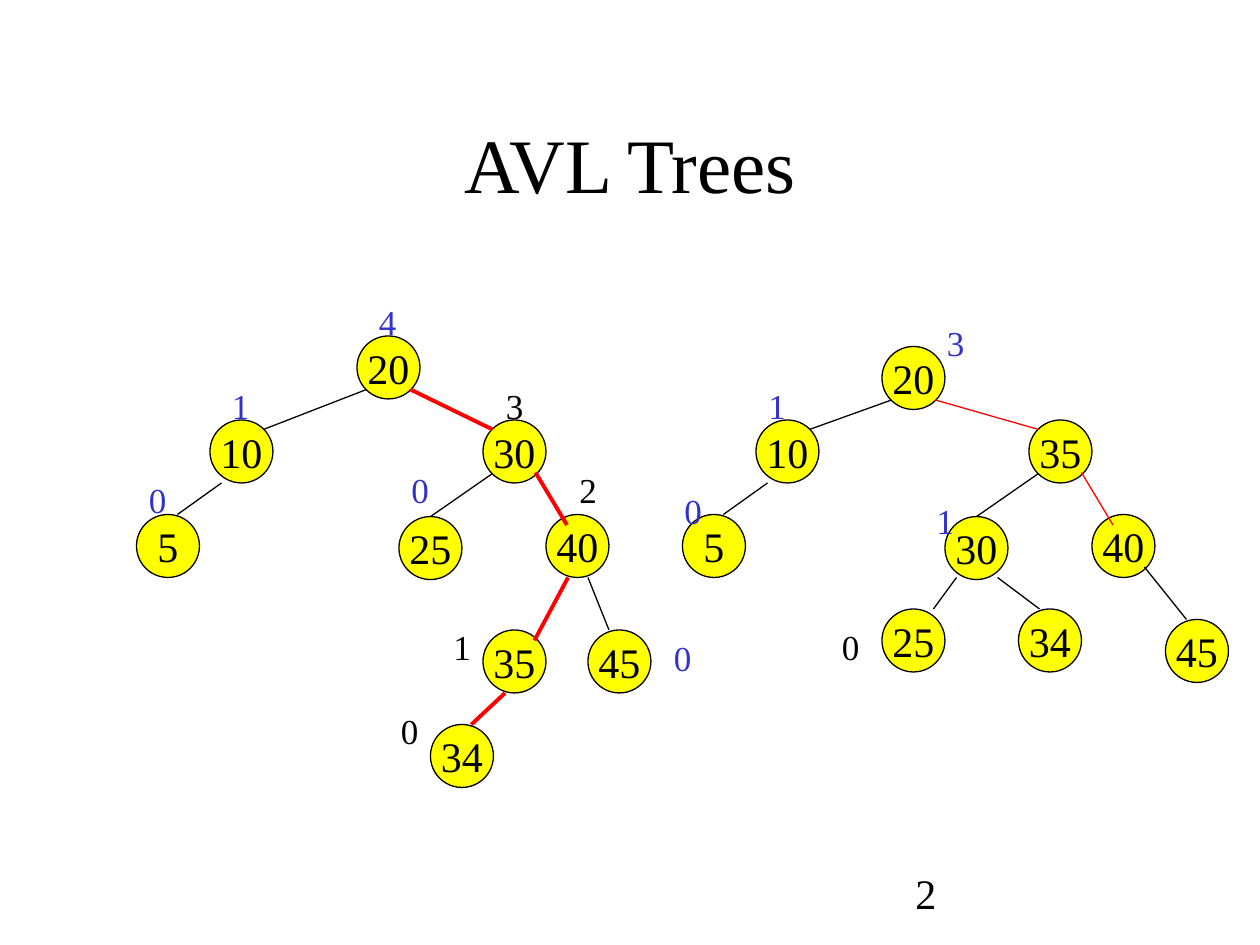
"""Build the AVL tree rebalancing slide on a grid of twelfths of an inch."""
from lxml import etree
from pptx import Presentation
from pptx import util as u
from pptx.dml.color import RGBColor
from pptx.enum import shapes, text
from pptx.oxml.ns import qn

FONT, BLACK, BLUE, RED, YELLOW = "Times New Roman", "000000", "3333CC", "FF0000", "FFFF00"
SIZE, THIN, THICK = 6, 0.75, 2.25

LEFT = {
    "nodes": [("20", 34, 32), ("10", 20, 40), ("30", 46, 40), ("25", 38, 49.2), ("40", 52, 49),
              ("5", 13, 49), ("45", 56, 60), ("35", 46, 60), ("34", 41, 69)],
    "edges": [(34.9, 37.1, 25.1, 40.9), (46.9, 45.1, 41, 49.2), (21.1, 46, 16.9, 49),
              (56, 55, 58, 60)],
    "path": [(39.1, 37.1, 46.9, 40.9), (51, 45, 54, 50), (54.1, 55, 50.9, 61),
             (48.1, 66, 44.9, 69)],
    "width": THICK,
    "old": [("4", 34.9, 28), ("1", 20.9, 36), ("0", 38, 44), ("0", 13, 45), ("0", 63, 60)],
    "new": [("3", 47, 36), ("2", 54, 44), ("1", 42, 59), ("0", 37, 67)],
}
RIGHT = {
    "nodes": [("20", 84, 33), ("10", 72, 40), ("35", 98, 40), ("30", 90, 49.2), ("40", 104, 49),
              ("5", 65, 49), ("45", 111, 59), ("25", 84, 58), ("34", 97, 58)],
    "edges": [(84.9, 38.1, 77.1, 40.9), (98.9, 45.1, 93, 49.2), (73.1, 46, 68.9, 49),
              (109, 54, 113, 59), (91.1, 55, 88.9, 58), (95, 55, 99, 58)],
    "path": [(89.1, 38.1, 98.9, 40.9), (103, 45, 106, 50)],
    "width": THIN,
    "old": [("3", 89, 30), ("1", 72, 36), ("0", 64, 46), ("1", 88, 47)],
    "new": [("0", 79, 59)],
}


def grid(*cells):
    return [u.Inches(c / 12) for c in cells]


def color(code):
    return RGBColor.from_string(code)


def write(shape, words, size, code=BLACK, align=text.PP_ALIGN.LEFT,
          anchor=text.MSO_ANCHOR.TOP, wrap=False):
    frame = shape.text_frame
    frame.text, frame.word_wrap, frame.vertical_anchor = words, wrap, anchor
    par = frame.paragraphs[0]
    par.alignment = align
    par.font.name, par.font.size = FONT, u.Pt(size)
    par.font.color.rgb = color(code)


def middle(shape, words, size, wrap=False):
    write(shape, words, size, align=text.PP_ALIGN.CENTER,
          anchor=text.MSO_ANCHOR.MIDDLE, wrap=wrap)


def node(slide, words, x, y):
    oval = slide.shapes.add_shape(shapes.MSO_SHAPE.OVAL, *grid(x, y, SIZE, SIZE))
    oval.shadow.inherit = False
    oval.fill.solid()
    oval.fill.fore_color.rgb = color(YELLOW)
    oval.line.color.rgb = color(BLACK)
    oval.line.width = u.Pt(THIN)
    middle(oval, words, 24)


def edge(slide, ends, code, width):
    link = slide.shapes.add_connector(shapes.MSO_CONNECTOR.STRAIGHT, *grid(*ends))
    link.line.color.rgb = color(code)
    link.line.width = u.Pt(width)
    etree.SubElement(link._element.spPr, qn("a:effectLst"))


def label(slide, words, x, y, code):
    box = slide.shapes.add_textbox(*grid(x, y, 4.1, 5.25))
    write(box, words, 20, code)
    box.text_frame.auto_size = text.MSO_AUTO_SIZE.SHAPE_TO_FIT_TEXT


def draw(slide, tree):
    for item in tree["nodes"]:
        node(slide, *item)
    for ends in tree["edges"]:
        edge(slide, ends, BLACK, THIN)
    for ends in tree["path"]:
        edge(slide, ends, RED, tree["width"])
    for key, code in (("old", BLUE), ("new", BLACK)):
        for item in tree[key]:
            label(slide, *item, code)


def main():
    deck = Presentation()
    deck.slide_width, deck.slide_height = u.Inches(10), u.Inches(7.5)
    slide = deck.slides.add_slide(deck.slide_layouts[5])
    title = slide.shapes.title
    title.left, title.top, title.width, title.height = grid(9, 8, 102, 15)
    middle(title, "AVL Trees", 44, wrap=True)
    write(slide.shapes.add_textbox(*grid(86, 82, 25, 6)), "2", 24, wrap=True)
    for tree in (LEFT, RIGHT):
        draw(slide, tree)
    deck.save("out.pptx")


if __name__ == "__main__":
    main()
